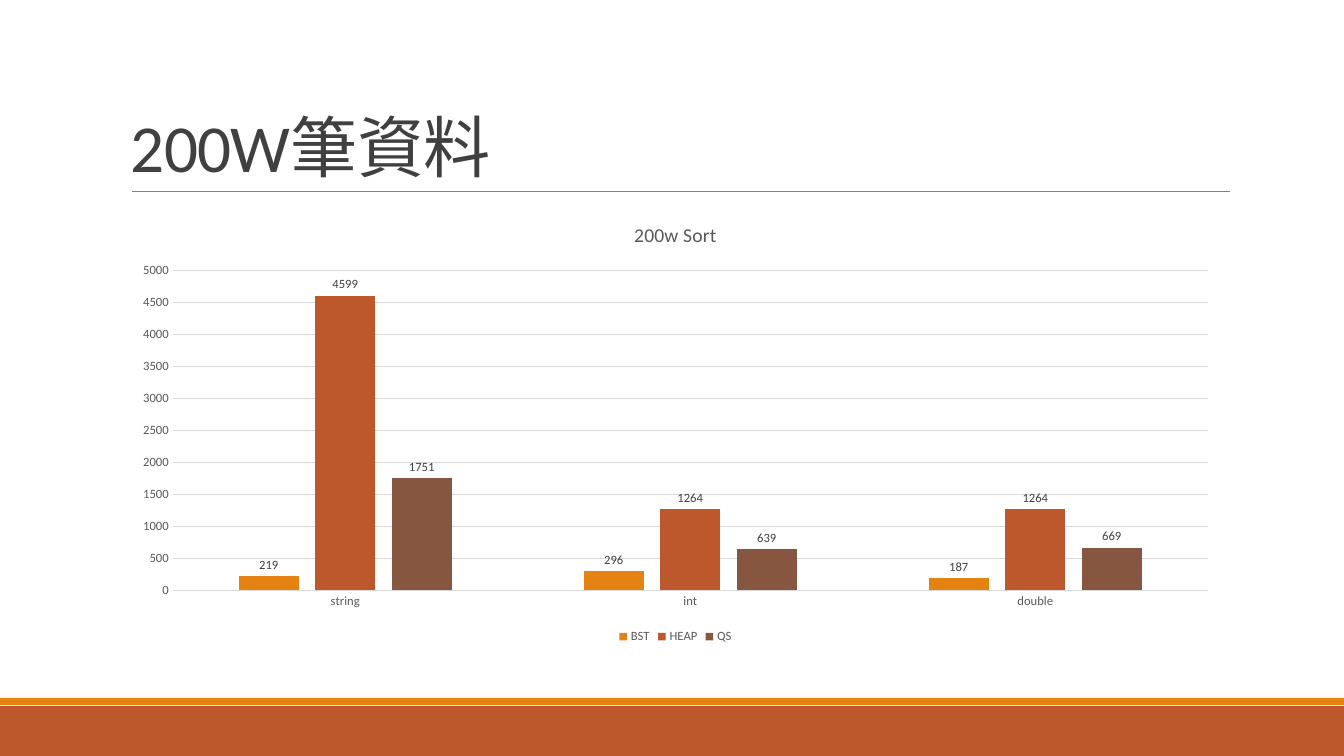
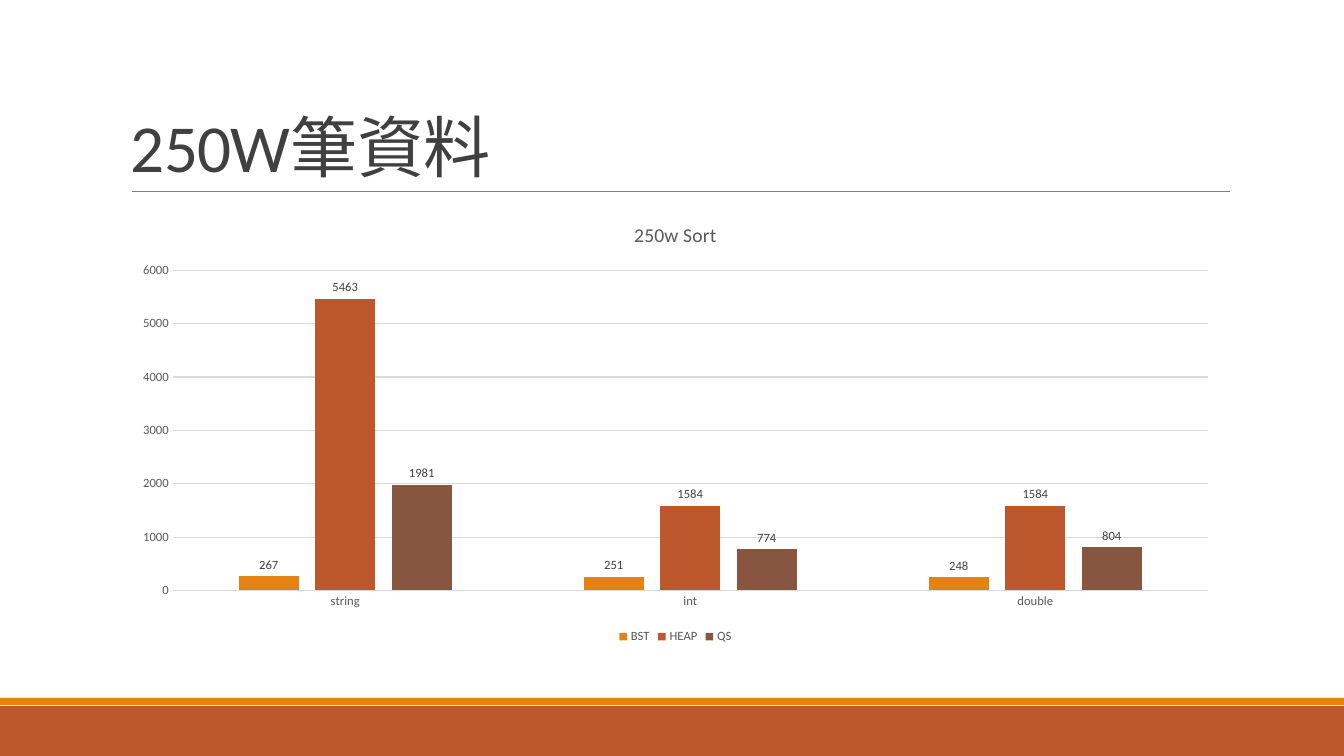
"""Build two slides that compare sort times by data type."""
from dataclasses import dataclass

from lxml import etree
from pptx import Presentation
from pptx.chart.data import CategoryChartData
from pptx.dml.color import RGBColor
from pptx.enum.chart import XL_CHART_TYPE, XL_LABEL_POSITION, XL_LEGEND_POSITION, XL_TICK_MARK
from pptx.enum.shapes import MSO_CONNECTOR, MSO_SHAPE
from pptx.enum.text import MSO_ANCHOR
from pptx.oxml.ns import qn
from pptx.util import Pt

COLUMNS = XL_CHART_TYPE.COLUMN_CLUSTERED
LABEL_OUTSIDE = XL_LABEL_POSITION.OUTSIDE_END
LEGEND_BOTTOM = XL_LEGEND_POSITION.BOTTOM
NO_TICK = XL_TICK_MARK.NONE
RECTANGLE = MSO_SHAPE.RECTANGLE
STRAIGHT = MSO_CONNECTOR.STRAIGHT
BOTTOM = MSO_ANCHOR.BOTTOM

SLIDE_WIDTH, SLIDE_HEIGHT = 1344, 756
EMU_PER_PX = 12192000 / SLIDE_WIDTH
CONTENT_LEFT, CONTENT_WIDTH = 121, 1109


@dataclass(frozen=True)
class Theme:
    """Colours, type sizes and line widths shared by the slides."""

    font: str = "Calibri"
    orange: str = "E48312"
    rust: str = "BD582C"
    brown: str = "865640"
    heading: str = "404040"
    muted: str = "595959"
    rule: str = "808080"
    grid: str = "D9D9D9"
    heading_size: int = 48
    chart_title_size: int = 14
    chart_size: int = 9
    rule_width: float = 0.5
    grid_width: float = 0.75


THEME = Theme()
DATA_TYPES = ("string", "int", "double")
SORT_COLORS = {"BST": THEME.orange, "HEAP": THEME.rust, "QS": THEME.brown}
RESULTS = (
    ("200", {"BST": (219, 296, 187), "HEAP": (4599, 1264, 1264), "QS": (1751, 639, 669)}),
    ("250", {"BST": (267, 251, 248), "HEAP": (5463, 1584, 1584), "QS": (1981, 774, 804)}),
)


def px(*lengths):
    """Turn pixel lengths into EMU."""
    return [round(length * EMU_PER_PX) for length in lengths]


def style_font(font, size, color):
    """Give a font the theme face with a size and colour."""
    font.name = THEME.font
    font.size = Pt(size)
    font.bold = False
    font.color.rgb = RGBColor.from_string(color)


def style_line(line, color, width):
    """Give a line its colour and width."""
    line.color.rgb = RGBColor.from_string(color)
    line.width = Pt(width)


def write_text(frame, text, *, size, color, line_spacing=None, tracking=None):
    """Write one formatted paragraph into a text frame."""
    paragraph = frame.paragraphs[0]
    if line_spacing:
        paragraph.line_spacing = line_spacing
    run = paragraph.add_run()
    run.text = text
    style_font(run.font, size, color)
    if tracking:
        run._r.get_or_add_rPr().set("spc", str(round(tracking * 100)))


def add_band(slide, top, height, color):
    """Add a full-width band."""
    band = slide.shapes.add_shape(RECTANGLE, *px(0, top, SLIDE_WIDTH, height))
    band.shadow.inherit = False
    band.fill.solid()
    band.fill.fore_color.rgb = RGBColor.from_string(color)
    band.line.fill.background()


def add_rule(slide, left, right, y):
    """Add the thin rule under the heading."""
    rule = slide.shapes.add_connector(STRAIGHT, *px(left, y, right, y))
    style_line(rule.line, THEME.rule, THEME.rule_width)
    etree.SubElement(rule._element.spPr, qn("a:effectLst"))


def add_heading(slide, text):
    """Add the slide heading, resting on the rule."""
    frame = slide.shapes.add_textbox(*px(CONTENT_LEFT, 31, CONTENT_WIDTH, 160)).text_frame
    frame.word_wrap = True
    frame.vertical_anchor = BOTTOM
    write_text(frame, text, size=THEME.heading_size, color=THEME.heading,
               line_spacing=0.85, tracking=-0.5)


def style_axes(chart):
    """Format both axes and the gridlines."""
    for axis in (chart.category_axis, chart.value_axis):
        axis.major_tick_mark = axis.minor_tick_mark = NO_TICK
        style_font(axis.tick_labels.font, THEME.chart_size, THEME.muted)
    style_line(chart.category_axis.format.line, THEME.grid, THEME.grid_width)
    chart.value_axis.format.line.fill.background()
    style_line(chart.value_axis.major_gridlines.format.line, THEME.grid, THEME.grid_width)


def style_series(series):
    """Colour a series and label its columns."""
    series.format.fill.solid()
    series.format.fill.fore_color.rgb = RGBColor.from_string(SORT_COLORS[series.name])
    labels = series.data_labels
    labels.show_value = True
    labels.position = LABEL_OUTSIDE
    style_font(labels.font, THEME.chart_size, THEME.heading)


def add_sort_chart(slide, title, times):
    """Add a column chart of sort times for each data type."""
    data = CategoryChartData()
    data.categories = DATA_TYPES
    for sort_name, values in times.items():
        data.add_series(sort_name, values)
    bounds = px(CONTENT_LEFT, 204, CONTENT_WIDTH, 444)
    chart = slide.shapes.add_chart(COLUMNS, *bounds, data).chart
    style_font(chart.font, THEME.chart_size, THEME.muted)
    write_text(chart.chart_title.text_frame, title,
               size=THEME.chart_title_size, color=THEME.muted)
    chart.chart_title.include_in_layout = False
    chart.has_legend = True
    chart.legend.position = LEGEND_BOTTOM
    chart.legend.include_in_layout = False
    style_font(chart.legend.font, THEME.chart_size, THEME.muted)
    style_axes(chart)
    plot = chart.plots[0]
    plot.vary_by_categories = False
    plot.gap_width = 219
    plot.overlap = -27
    for series in plot.series:
        style_series(series)


def add_result_slide(deck, count, times):
    """Add one slide with its shared frame, heading and chart."""
    slide = deck.slides.add_slide(deck.slide_layouts[6])
    add_band(slide, 706, 50, THEME.rust)
    add_band(slide, 698, 7, THEME.orange)
    add_rule(slide, 132, 1230, 191)
    add_heading(slide, f"{count}W筆資料")
    add_sort_chart(slide, f"{count}w Sort", times)


def main():
    """Build and save the deck."""
    deck = Presentation()
    deck.slide_width, deck.slide_height = px(SLIDE_WIDTH, SLIDE_HEIGHT)
    for count, times in RESULTS:
        add_result_slide(deck, count, times)
    deck.save("out.pptx")


if __name__ == "__main__":
    main()
